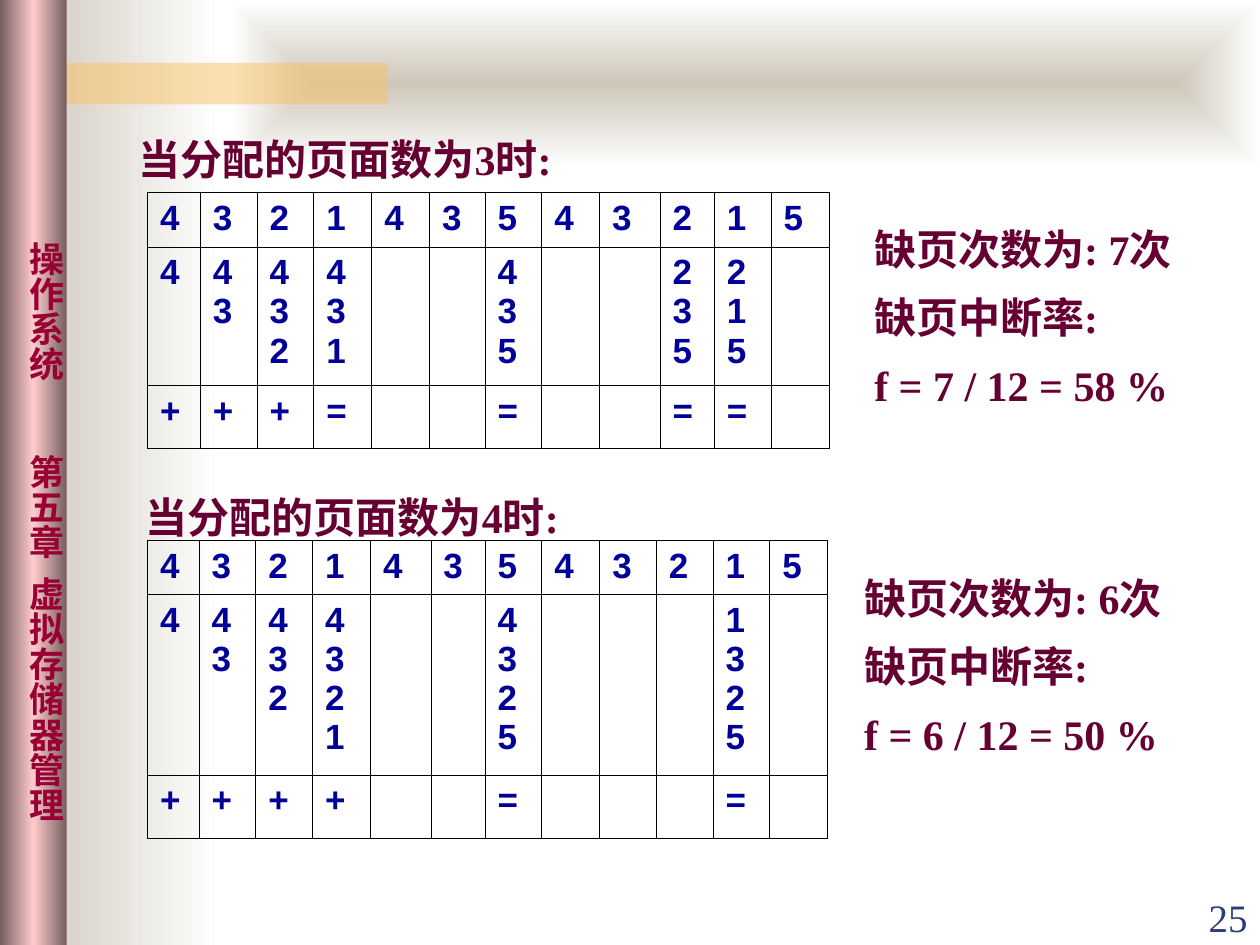
from lxml import etree
from pptx import Presentation
from pptx import util as u
from pptx.dml.color import RGBColor
from pptx.enum import shapes, text
from pptx.oxml import parse_xml
from pptx.oxml.ns import nsdecls, qn

WHITE = RGBColor(0xFF, 0xFF, 0xFF)
BLACK = RGBColor(0x00, 0x00, 0x00)
STONE = RGBColor(0xCE, 0xC8, 0xBA)
AMBER = RGBColor(0xFA, 0xC1, 0x64)
MAUVE = RGBColor(0x76, 0x5E, 0x5E)
PINK = RGBColor(0xFF, 0xCC, 0xCC)
CRIMSON = RGBColor(0x99, 0x00, 0x33)
PLUM = RGBColor(0x66, 0x00, 0x33)
NAVY = RGBColor(0x00, 0x00, 0x99)
PAGE_BLUE = RGBColor(0x2A, 0x3D, 0x7A)

SERIF, SANS, CJK = "Times New Roman", "Arial", "Noto Sans CJK SC"
LINEAR = '<a:lin ang="0" scaled="0"/>'
CENTRED = ('<a:path path="rect"><a:fillToRect l="50000" t="50000" '
           'r="50000" b="50000"/></a:path>')

REFERENCES = "432143543215"
# Heading, its place, table top, column widths, middle row height,
# frames after each reference, fault marks, result lines, their place
CASES = [
    ("当分配的页面数为3时:", (1, 0.87), 1.53,
     [0.42, 0.45, 0.45, 0.46, 0.46, 0.44, 0.45, 0.46, 0.48, 0.43, 0.45, 0.46],
     1.1, "4 43 432 431 - - 435 - - 235 215 -", "+++=--=--==-",
     ["缺页次数为: 7次", "缺页中断率:", "f = 7 / 12 = 58 %"], (6.84, 1.58)),
    ("当分配的页面数为4时:", (1.06, 3.71), 4.29,
     [0.41, 0.45, 0.45, 0.46, 0.48, 0.43, 0.45, 0.46, 0.45, 0.45, 0.45, 0.46],
     1.43, "4 43 432 4321 - - 4325 - - - 1325 -", "++++--=---=-",
     ["缺页次数为: 6次", "缺页中断率:", "f = 6 / 12 = 50 %"], (6.76, 4.35)),
]


class Deck:
    """Holds the style and the current slide."""

    def __init__(self, prs):
        self.s = prs.slides.add_slide(prs.slide_layouts[5])

    def run(self, p, words, size, color, font=SERIF, bold=True):
        r = p.add_run()
        r.text = words
        r.font.size, r.font.bold, r.font.name = u.Pt(size), bold, font
        r.font.color.rgb = color
        etree.SubElement(r.font._element, qn("a:ea")).set("typeface", CJK)

    def lines(self, tf, lines, size, color, font=SERIF, bold=True,
              align=text.PP_ALIGN.LEFT, spacing=None):
        for i, words in enumerate(lines):
            p = tf.add_paragraph() if i else tf.paragraphs[0]
            p.alignment = align
            if spacing:
                p.line_spacing = spacing
            self.run(p, words, size, color, font, bold)

    def panel(self, x, y, w, h, stops=None, shade=LINEAR, color=None, alpha=None):
        sp = self.s.shapes.add_shape(shapes.MSO_SHAPE.RECTANGLE, u.Inches(x),
                                     u.Inches(y), u.Inches(w), u.Inches(h))
        sp.shadow.inherit = False
        sp.line.fill.background()
        sp.fill.solid()
        sp.fill.fore_color.rgb = color or WHITE
        solid = sp._element.spPr.find(qn("a:solidFill"))
        if alpha:
            etree.SubElement(solid[0], qn("a:alpha")).set("val", str(alpha * 1000))
        if stops:
            gs = "".join(f'<a:gs pos="{pos * 1000}"><a:srgbClr val="{c}"/></a:gs>'
                         for pos, c in stops)
            grad = parse_xml(f'<a:gradFill {nsdecls("a")} rotWithShape="1">'
                             f'<a:gsLst>{gs}</a:gsLst>{shade}</a:gradFill>')
            solid.getparent().replace(solid, grad)
        return sp

    def vertical_label(self, sp, groups):
        """Writes (distance from top, words) groups down a panel."""
        tf = sp.text_frame
        tf.margin_left, tf.margin_right = u.Inches(0.05), 0
        tf.margin_top = tf.margin_bottom = u.Inches(0.1)
        tf.vertical_anchor = text.MSO_ANCHOR.TOP
        tf._txBody.bodyPr.set("vert", "eaVert")
        p = tf.paragraphs[0]
        p.alignment = text.PP_ALIGN.LEFT
        tabs = etree.SubElement(p._p.get_or_add_pPr(), qn("a:tabLst"))
        for top, words in groups:
            tab = etree.SubElement(tabs, qn("a:tab"))
            tab.set("pos", str(u.Inches(top)))
            tab.set("algn", "l")
            self.run(p, "\t" + words, 20, CRIMSON, CJK)

    def place(self, sp, x, y, w, h, anchor, wrap=True):
        sp.left, sp.top = u.Inches(x), u.Inches(y)
        sp.width, sp.height = u.Inches(w), u.Inches(h)
        tf = sp.text_frame
        tf.word_wrap, tf.vertical_anchor = wrap, anchor
        tf.auto_size = text.MSO_AUTO_SIZE.NONE
        return tf

    def textbox(self, x, y, w, h, lines, size=24, color=PLUM, wrap=True,
                anchor=text.MSO_ANCHOR.MIDDLE, **style):
        sp = self.s.shapes.add_textbox(0, 0, 0, 0)
        tf = self.place(sp, x, y, w, h, anchor, wrap)
        self.lines(tf, lines, size, color, **style)

    def title(self, x, y, w, h, words):
        sp = self.s.shapes.title
        self.s.shapes._spTree.append(sp._element)  # in front of the panels
        tf = self.place(sp, x, y, w, h, text.MSO_ANCHOR.MIDDLE)
        self.lines(tf, [words], 24, PLUM, spacing=1.35)

    def border(self, cell):
        tc_pr = cell._tc.get_or_add_tcPr()
        for i, side in enumerate("LRTB"):
            tc_pr.insert(i, parse_xml(
                f'<a:ln{side} {nsdecls("a")} w="{u.Pt(0.45)}"><a:solidFill>'
                f'<a:srgbClr val="{BLACK}"/></a:solidFill></a:ln{side}>'))

    def table(self, x, y, cols, heights, rows):
        """Each character of an entry stands on its own line; - is empty."""
        tbl = self.s.shapes.add_table(
            len(rows), len(cols), u.Inches(x), u.Inches(y),
            u.Inches(sum(cols)), u.Inches(sum(heights))).table
        tbl.first_row = tbl.horz_banding = False
        for col, w in zip(tbl.columns, cols):
            col.width = u.Inches(w)
        for i, (h, row) in enumerate(zip(heights, rows)):
            tbl.rows[i].height = u.Inches(h)
            for j, entry in enumerate(row):
                cell = tbl.cell(i, j)
                cell.fill.background()
                self.border(cell)
                if entry != "-":
                    self.lines(cell.text_frame, entry, 20, NAVY, SANS)


def main():
    prs = Presentation()
    prs.slide_width, prs.slide_height = u.Inches(10), u.Inches(7.5)
    deck = Deck(prs)

    # Background panels and chapter sidebar
    fade = [(0, STONE), (100, WHITE)]
    deck.panel(0.17, 0, 1.58, 7.5, fade)
    deck.panel(1.83, 0, 8.17, 1.33, fade, CENTRED)
    deck.panel(0.33, 0.5, 2.75, 0.33, color=AMBER, alpha=50)
    sidebar = deck.panel(0, 0, 0.53, 7.5, [(0, MAUVE), (50, PINK), (100, MAUVE)])
    deck.vertical_label(sidebar, [(1.82, "操作系统"), (3.51, "第五章"),
                                  (4.48, "虚拟存储器管理")])

    # One heading, table and result per number of page frames
    for i, (heading, at, top, cols, middle, frames, marks, result,
            result_at) in enumerate(CASES):
        if i == 0:
            deck.title(*at, 4.25, 0.64, heading)
        else:
            deck.textbox(*at, 4.25, 0.64, [heading], spacing=1.35)
        deck.table(1.17, top, cols, [0.43, middle, 0.5],
                   [REFERENCES, frames.split(), marks])
        deck.textbox(*result_at, 2.72, 1.72, result, wrap=False, spacing=1.35)

    # Page number
    deck.textbox(9, 7.01, 1, 0.5, ["25"], 22.2, PAGE_BLUE, bold=False,
                 anchor=text.MSO_ANCHOR.BOTTOM, align=text.PP_ALIGN.RIGHT)
    prs.save("out.pptx")


if __name__ == "__main__":
    main()
